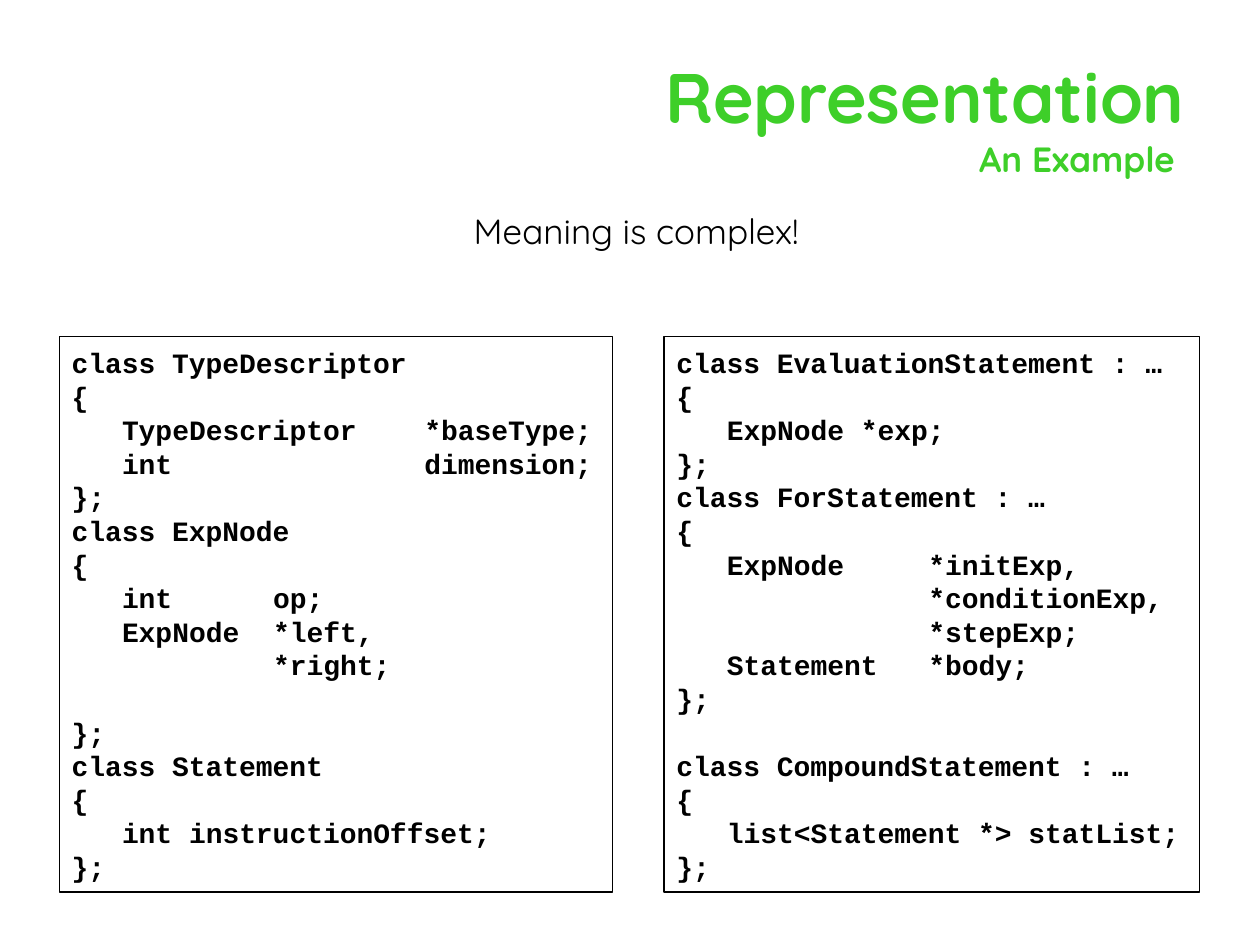
import dataclasses

import pptx
import pptx.dml.color
import pptx.enum.shapes
import pptx.enum.text
import pptx.util
from lxml import etree

Inches, Pt = pptx.util.Inches, pptx.util.Pt
RGBColor = pptx.dml.color.RGBColor
ALIGN = pptx.enum.text.PP_ALIGN
MIDDLE = pptx.enum.text.MSO_ANCHOR.MIDDLE


@dataclasses.dataclass(frozen=True)
class Theme:
    green: RGBColor = RGBColor(0x3E, 0xCF, 0x29)
    black: RGBColor = RGBColor(0, 0, 0)
    sans: str = "Quicksand"
    mono: str = "Courier New"
    title_size: int = 40
    body_size: int = 20
    code_size: int = 16
    code_pitch: float = 19.2  # points from one code line to the next
    code_char: float = 9.6  # points per monospaced character


THEME = Theme()

# Each class: columns (in characters) of its tab stops, then its lines.
# An empty line becomes space above the line that follows it.
LEFT_CLASSES = [
    ((3, 21), ["class TypeDescriptor", "{", "\tTypeDescriptor\t*baseType;",
               "\tint\tdimension;", "};"]),
    ((3, 12), ["class ExpNode", "{", "\tint\top;", "\tExpNode\t*left,",
               "\t\t*right;", "", "};"]),
    ((3,), ["class Statement", "{", "\tint instructionOffset;", "};"]),
]
RIGHT_CLASSES = [
    ((3,), ["class EvaluationStatement : …", "{", "\tExpNode *exp;", "};"]),
    ((3, 15), ["class ForStatement : …", "{", "\tExpNode\t*initExp,",
               "\t\t*conditionExp,", "\t\t*stepExp;", "\tStatement\t*body;", "};"]),
    ((3,), ["", "class CompoundStatement : …", "{",
            "\tlist<Statement *> statList;", "};"]),
]


def style(p, font, size, color, bold=False, align=ALIGN.LEFT):
    p.alignment = align
    p.font.name, p.font.size, p.font.bold = font, Pt(size), bold
    p.font.color.rgb = color


def add_text_box(slide, left, top, width, height):
    tf = slide.shapes.add_textbox(
        Inches(left), Inches(top), Inches(width), Inches(height)).text_frame
    tf.word_wrap = True
    return tf


def add_title(slide, title, subtitle):
    tf = add_text_box(slide, 2.09, 0.3, 7.41, 1.25)
    tf.vertical_anchor = MIDDLE
    p = tf.paragraphs[0]
    style(p, THEME.sans, THEME.title_size, THEME.green, True, ALIGN.RIGHT)
    p.add_run().text = title
    p.add_line_break()
    r = p.add_run()
    r.text = subtitle
    r.font.size = Pt(THEME.body_size)


def add_statement(slide, text):
    p = add_text_box(slide, 3, 1.61, 4.1, 0.5).paragraphs[0]
    p.text = text
    style(p, THEME.sans, THEME.body_size, THEME.black, align=ALIGN.CENTER)


def set_tab_stops(p, columns):
    ns = "{http://schemas.openxmlformats.org/drawingml/2006/main}"
    tabs = etree.Element(ns + "tabLst")
    for column in columns:
        etree.SubElement(tabs, ns + "tab", algn="l",
                         pos=str(Pt(column * THEME.code_char)))
    # The schema wants tabLst before defRPr
    p.font._element.addprevious(tabs)


def add_code_box(slide, left, width, classes):
    sp = slide.shapes.add_shape(
        pptx.enum.shapes.MSO_SHAPE.RECTANGLE,
        Inches(left), Inches(2.67), Inches(width), Inches(4.41))
    sp.shadow.inherit = False
    sp.fill.background()
    sp.line.color.rgb = THEME.black
    sp.line.width = Pt(0.75)
    tf = sp.text_frame
    tf.word_wrap = True
    tf.vertical_anchor = MIDDLE

    p, gap = tf.paragraphs[0], 0
    for columns, lines in classes:
        for line in lines:
            if not line:
                gap = THEME.code_pitch
                continue
            if p.runs:
                p = tf.add_paragraph()
            p.add_run().text = line
            style(p, THEME.mono, THEME.code_size, THEME.black, bold=True)
            p.line_spacing = Pt(THEME.code_pitch)
            p.space_before = Pt(gap)
            set_tab_stops(p, columns)
            gap = 0


def main():
    prs = pptx.Presentation()
    prs.slide_width, prs.slide_height = Inches(10), Inches(7.5)
    slide = prs.slides.add_slide(prs.slide_layouts[6])
    add_title(slide, "Representation", "An Example ")
    add_code_box(slide, 0.47, 4.39, LEFT_CLASSES)
    add_code_box(slide, 5.27, 4.25, RIGHT_CLASSES)
    add_statement(slide, "Meaning is complex!")
    prs.save("out.pptx")


if __name__ == "__main__":
    main()
